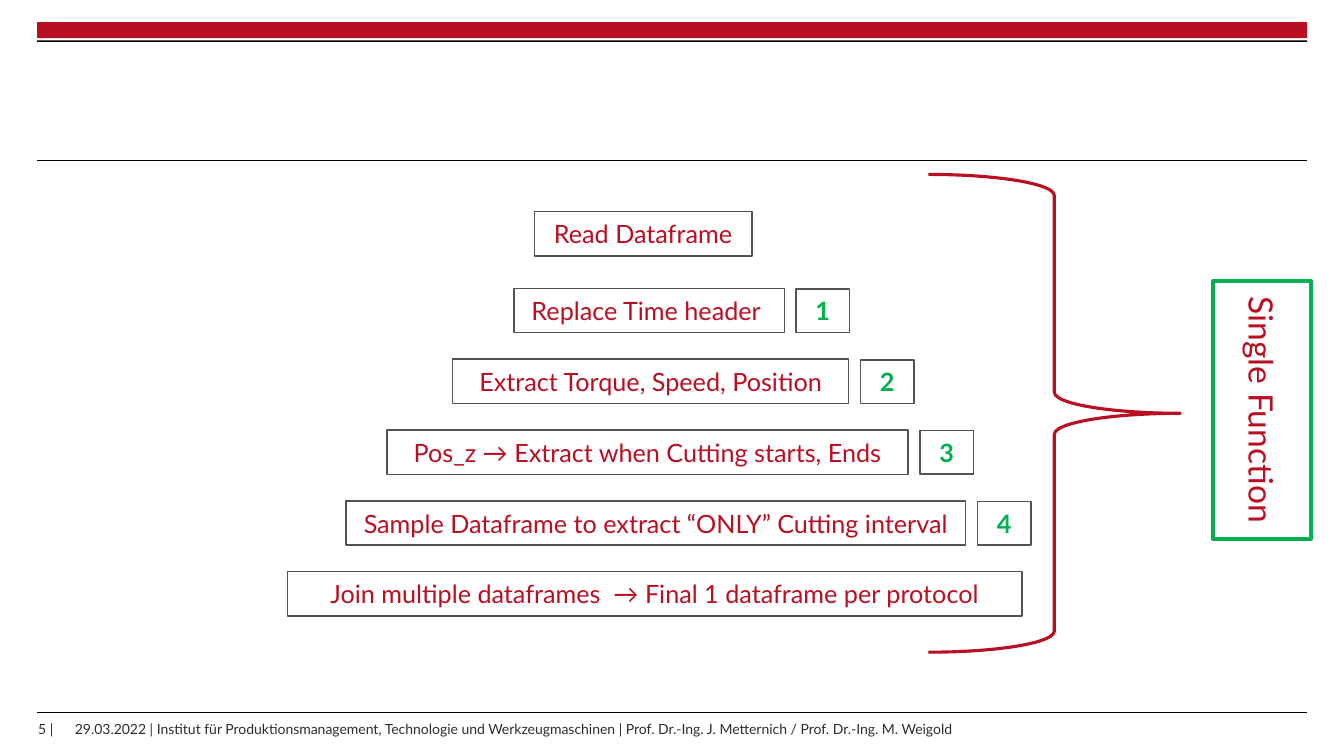
"""Build the slide that groups the dataframe processing steps into a single function."""
from lxml import etree
from pptx import Presentation
from pptx import util as u
from pptx.dml import color
from pptx.enum import shapes, text
from pptx.oxml import ns

COLORS = {"red": "B90F22", "black": "000000", "gray": "535353", "green": "00B050", "footer": "2D2D2D"}
FONT = "Lato"
LEFT, WIDTH = 26.6, 907.2
STEP_HEIGHT, STEP_PITCH = 31.7, 50.6
BADGE_WIDTH, BADGE_HEIGHT, BADGE_GAP = 38.2, 31, 8.4


def add_text(frame, words, size, name, bold=False):
    paragraph = frame.paragraphs[0]
    run = paragraph.add_run()
    run.text = words
    run.font.name, run.font.size, run.font.bold = FONT, u.Pt(size), bold
    run.font.color.rgb = color.RGBColor.from_string(COLORS[name])
    return paragraph


def add_box(box, kind="RECTANGLE", fill=None, line=None, weight=1):
    shape = slide.shapes.add_shape(shapes.MSO_SHAPE[kind], *map(u.Pt, box))
    shape.shadow.inherit = False
    if fill:
        shape.fill.solid()
        shape.fill.fore_color.rgb = color.RGBColor.from_string(COLORS[fill])
    else:
        shape.fill.background()
    if line:
        shape.line.color.rgb = color.RGBColor.from_string(COLORS[line])
        shape.line.width = u.Pt(weight)
    else:
        shape.line.fill.background()
    shape.text_frame.vertical_anchor = text.MSO_ANCHOR.MIDDLE
    shape.text_frame.paragraphs[0].alignment = text.PP_ALIGN.CENTER
    return shape


presentation = Presentation()
presentation.slide_width, presentation.slide_height = u.Pt(960), u.Pt(540)
slide = presentation.slides.add_slide(presentation.slide_layouts[6])

add_box((LEFT, 15.8, WIDTH, 11.5), fill="red")
add_box((LEFT, 28.8, WIDTH, 1.2), fill="black")
for top in (114.3, 509):
    rule = slide.shapes.add_connector(
        shapes.MSO_CONNECTOR.STRAIGHT, u.Pt(LEFT), u.Pt(top), u.Pt(LEFT + WIDTH), u.Pt(top))
    rule.line.color.rgb = color.RGBColor.from_string(COLORS["black"])
    rule.line.width = u.Pt(0.6)
    etree.SubElement(rule.line._get_or_add_ln().getparent(), ns.qn("a:effectLst"))

footer = slide.shapes.add_textbox(*map(u.Pt, (20.2, 511.2, 913, 20))).text_frame
footer.word_wrap = True
footer_paragraph = add_text(
    footer,
    "5 |\t29.03.2022 | Institut für Produktionsmanagement, Technologie und Werkzeugmaschinen"
    " | Prof. Dr.-Ing. J. Metternich / Prof. Dr.-Ing. M. Weigold",
    10, "footer")
tab_list = etree.SubElement(footer_paragraph._p.get_or_add_pPr(), ns.qn("a:tabLst"))
etree.SubElement(tab_list, ns.qn("a:tab"), pos=str(u.Pt(26.2)), algn="l")

steps = [
    ("Read Dataframe", 381.6, 155.5, None),
    ("Replace Time header ", 367.2, 193, "1"),
    ("Extract Torque, Speed, Position", 323.3, 283, "2"),
    ("Pos_z → Extract when Cutting starts, Ends", 276.5, 372.2, "3"),
    ("Sample Dataframe to extract “ONLY” Cutting interval", 247, 442.8, "4"),
    ("Join multiple dataframes  → Final 1 dataframe per protocol", 205.2, 524.9, None),
]
for index, (words, left, width, number) in enumerate(steps):
    top = 206 + (index - 1) * STEP_PITCH if index else 151.2
    step = add_box((left, top, width, STEP_HEIGHT), line="gray")
    add_text(step.text_frame, words, 18, "red")
    if number:
        badge = add_box((left + width + BADGE_GAP, top + 0.5, BADGE_WIDTH, BADGE_HEIGHT), line="gray")
        add_text(badge.text_frame, number, 18, "green", bold=True)

add_box((663.1, 124.6, 180, 341.3), "RIGHT_BRACE", line="red", weight=2.25)
function_box = add_box((809.3, 257.8, 184.3, 69.8), line="green", weight=3)
function_box.rotation = 90
add_text(function_box.text_frame, "Single Function", 24, "red")

presentation.save("out.pptx")
